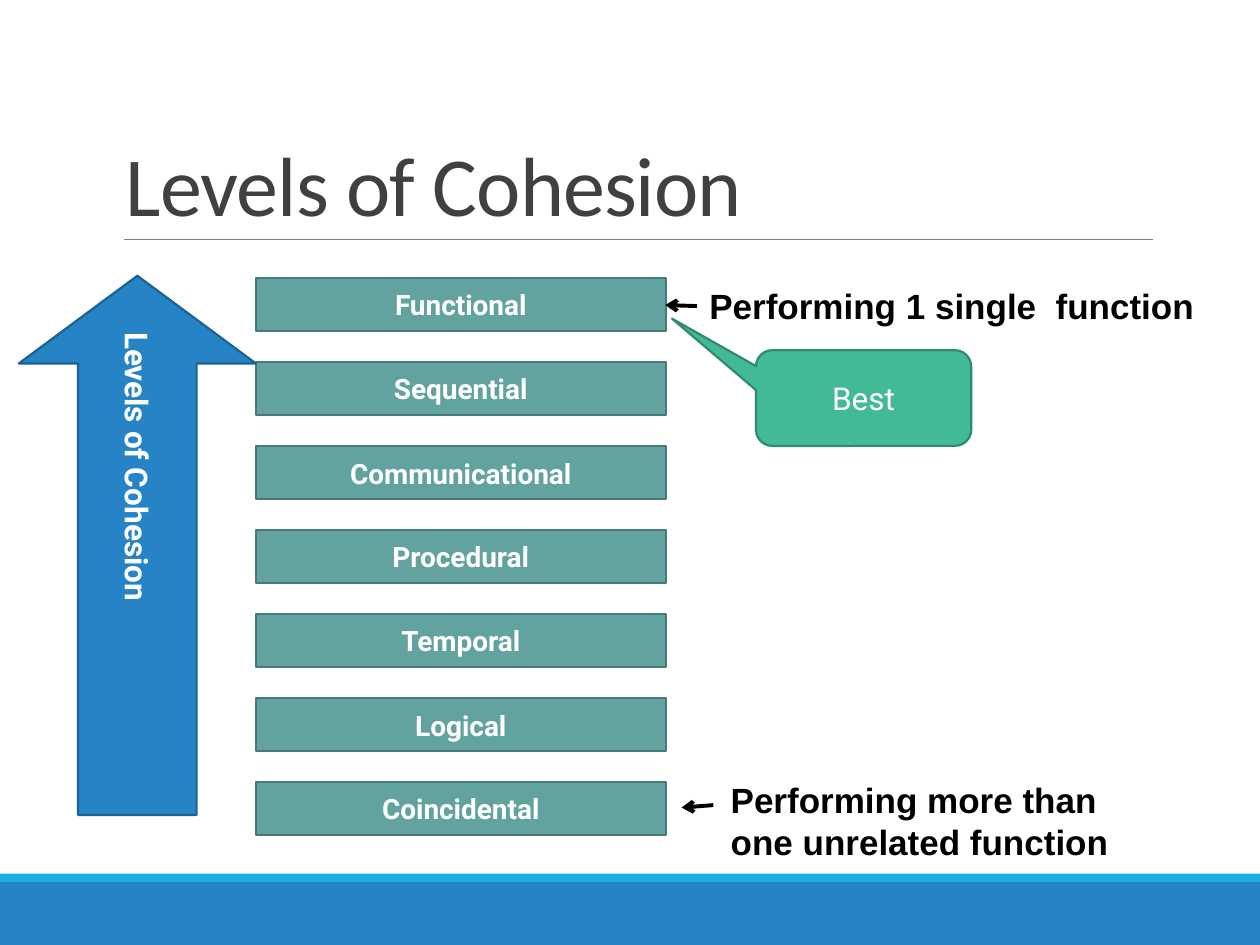
"""Build the Levels of Cohesion slide."""
import dataclasses

import pptx
import pptx.dml.color
import pptx.enum.shapes
import pptx.enum.text
import pptx.oxml
import pptx.oxml.ns
import pptx.util

Cm = pptx.util.Cm
Pt = pptx.util.Pt
Shape = pptx.enum.shapes.MSO_SHAPE
Anchor = pptx.enum.text.MSO_ANCHOR
Align = pptx.enum.text.PP_ALIGN
AutoSize = pptx.enum.text.MSO_AUTO_SIZE

TITLE = "Levels of Cohesion"
LEVELS = [
    "Functional",
    "Sequential",
    "Communicational",
    "Procedural",
    "Temporal",
    "Logical",
    "Coincidental",
]
NOTES = [
    {"text": "Performing 1 single  function", "at": (14.05, 5.61, 10.36, 1.12), "wrap": False},
    {"text": "Performing more than one unrelated function", "at": (14.48, 15.57, 8.43, 1.96), "wrap": True},
]
POINTERS = [(14.05, 6.17, 13.41, 6.15), (14.38, 16.23, 13.74, 16.28)]

PAGE_WIDTH, PAGE_HEIGHT = 25.4, 19.05
FOOTER_TOP, STRIPE_HEIGHT = 17.78, 0.17
BAR_LEFT, BAR_WIDTH, BAR_HEIGHT = 5.16, 8.26, 1.07
FIRST_BAR_TOP, LAST_BAR_TOP = 5.61, 15.77


@dataclasses.dataclass(frozen=True)
class Theme:
    """Colours, fonts and sizes."""
    blue: str = "2683C6"
    blue_edge: str = "1C6192"
    sky: str = "1CADE4"
    teal: str = "62A39F"
    teal_edge: str = "497976"
    green: str = "42BA97"
    green_edge: str = "318A70"
    rule: str = "808080"
    title: str = "404040"
    black: str = "000000"
    white: str = "FFFFFF"
    title_font: str = "Calibri"
    label_font: str = "Roboto"
    note_font: str = "Arial"
    title_size: float = 48
    note_size: float = 20
    large_size: float = 18
    label_size: float = 16
    edge_width: float = 1.25


THEME = Theme()


def color(value):
    """Turn a hex string into a colour."""
    return pptx.dml.color.RGBColor.from_string(value)


def write(box, text, *, size, font=THEME.label_font, fill=THEME.white, bold=False,
          align=Align.CENTER, anchor=Anchor.MIDDLE, wrap=True, grow=False,
          line_spacing=None, tracking=None, direction=None):
    """Put formatted text in a box."""
    frame = box.text_frame
    frame.word_wrap = wrap
    frame.auto_size = AutoSize.SHAPE_TO_FIT_TEXT if grow else AutoSize.NONE
    frame.vertical_anchor = anchor
    if direction:
        frame._txBody.bodyPr.set("vert", direction)
    para = frame.paragraphs[0]
    para.alignment = align
    if line_spacing:
        para.line_spacing = line_spacing
    span = para.add_run()
    span.text = text
    span.font.name = font
    span.font.size = Pt(size)
    span.font.bold = bold
    span.font.color.rgb = color(fill)
    if tracking:
        span.font._element.set("spc", str(round(tracking * 100)))


def add_block(page, kind, at, fill, edge=None, adjustments=()):
    """Add a filled preset shape."""
    block = page.shapes.add_shape(kind, *map(Cm, at))
    block.shadow.inherit = False
    block.fill.solid()
    block.fill.fore_color.rgb = color(fill)
    if edge:
        block.line.color.rgb = color(edge)
        block.line.width = Pt(THEME.edge_width)
    else:
        block.line.fill.background()
    for index, value in enumerate(adjustments):
        block.adjustments[index] = value
    return block


def add_line(page, ends, fill, width, arrow=False):
    """Add a straight line, with an optional arrowhead at its end."""
    line = page.shapes.add_connector(
        pptx.enum.shapes.MSO_CONNECTOR.STRAIGHT, *map(Cm, ends))
    line.line.color.rgb = color(fill)
    line.line.width = Pt(width)
    if arrow:
        head = pptx.oxml.parse_xml(
            f'<a:tailEnd {pptx.oxml.ns.nsdecls("a")} type="arrow"/>')
        line.line._get_or_add_ln().append(head)
    line._element.spPr.append(
        pptx.oxml.parse_xml(f'<a:effectLst {pptx.oxml.ns.nsdecls("a")}/>'))


def add_frame(page):
    """Draw the footer bands, the title and its rule."""
    add_block(page, Shape.RECTANGLE,
              (0, FOOTER_TOP, PAGE_WIDTH, PAGE_HEIGHT - FOOTER_TOP), THEME.blue)
    add_block(page, Shape.RECTANGLE,
              (0, FOOTER_TOP - STRIPE_HEIGHT, PAGE_WIDTH, STRIPE_HEIGHT), THEME.sky)
    add_line(page, (2.49, 4.83, 23.24, 4.83), THEME.rule, 0.5)
    title = page.shapes.add_textbox(*map(Cm, (2.29, 0.79, 20.96, 4.04)))
    write(title, TITLE, size=THEME.title_size, font=THEME.title_font, fill=THEME.title,
          align=Align.LEFT, anchor=Anchor.BOTTOM, line_spacing=0.85, tracking=-0.5)


def add_levels(page):
    """Stack one bar per level at an equal pitch."""
    pitch = (LAST_BAR_TOP - FIRST_BAR_TOP) / (len(LEVELS) - 1)
    for index, level in enumerate(LEVELS):
        at = (BAR_LEFT, FIRST_BAR_TOP + index * pitch, BAR_WIDTH, BAR_HEIGHT)
        bar = add_block(page, Shape.RECTANGLE, at, THEME.teal, THEME.teal_edge)
        write(bar, level, size=THEME.label_size, bold=True, wrap=False)


def add_remarks(page):
    """Add the notes, their pointers, the callout and the big arrow."""
    for note in NOTES:
        box = page.shapes.add_textbox(*map(Cm, note["at"]))
        write(box, note["text"], size=THEME.note_size, font=THEME.note_font,
              fill=THEME.black, bold=True, align=Align.LEFT, anchor=Anchor.TOP,
              wrap=note["wrap"], grow=True)
    for ends in POINTERS:
        add_line(page, ends, THEME.black, 2.25, arrow=True)
    callout = add_block(page, Shape.ROUNDED_RECTANGULAR_CALLOUT, (15.24, 7.06, 4.34, 1.93),
                        THEME.green, THEME.green_edge, (-0.89, -0.83, 0.17))
    write(callout, "Best", size=THEME.large_size)
    arrow = add_block(page, Shape.UP_ARROW, (0.38, 5.56, 4.78, 10.87),
                      THEME.blue, THEME.blue_edge, (0.5, 0.37))
    write(arrow, TITLE, size=THEME.large_size, bold=True, wrap=False, direction="eaVert")


def main():
    """Build and save the deck."""
    deck = pptx.Presentation()
    deck.slide_width, deck.slide_height = Cm(PAGE_WIDTH), Cm(PAGE_HEIGHT)
    page = deck.slides.add_slide(deck.slide_layouts[6])
    add_frame(page)
    add_levels(page)
    add_remarks(page)
    deck.save("out.pptx")


if __name__ == "__main__":
    main()
